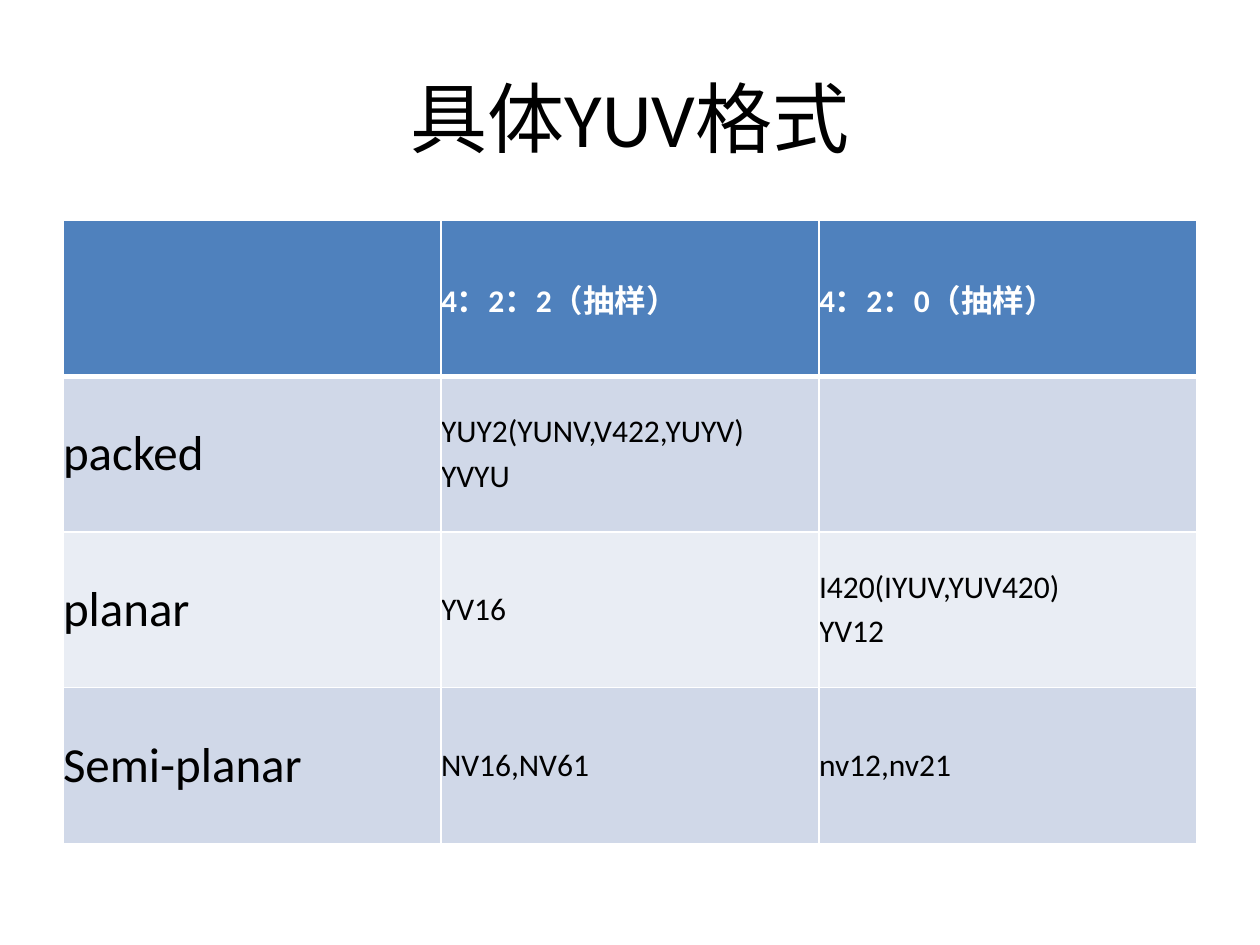
"""Builds a slide with a table of YUV pixel formats."""
from dataclasses import dataclass

from lxml.etree import SubElement
from pptx import Presentation
from pptx.dml.color import RGBColor
from pptx.enum.text import MSO_ANCHOR, PP_ALIGN
from pptx.oxml.ns import qn
from pptx.util import Pt


@dataclass(frozen=True)
class Theme:
    font: str = "Calibri"
    black: str = "000000"
    white: str = "FFFFFF"
    head: str = "4F81BD"
    bands: tuple[str, str] = ("D0D8E8", "E9EDF4")
    title: float = 44
    label: float = 28
    body: float = 18
    gap: float = 3.6
    thin: float = 1
    thick: float = 3


@dataclass(frozen=True)
class Row:
    cells: tuple[str, str, str]
    fill: str
    color: str
    sizes: tuple[float, float, float]
    bold: bool = False
    top: float = 1
    base: float = 1


THEME = Theme()
SIZES = (THEME.label, THEME.body, THEME.body)
BODY = (
    ("packed", "YUY2(YUNV,V422,YUYV)\nYVYU", ""),
    ("planar", "YV16", "I420(IYUV,YUV420)\nYV12"),
    ("Semi-planar", "NV16,NV61", "nv12,nv21"),
)
ROWS = [
    Row(("", "4：2：2（抽样）", "4：2：0（抽样）"), THEME.head, THEME.white,
        (THEME.body,) * 3, True, THEME.thin, THEME.thick)
] + [
    Row(cells, THEME.bands[i % 2], THEME.black, SIZES,
        top=THEME.thin if i else THEME.thick)
    for i, cells in enumerate(BODY)
]


def style(para, size: float, color: str, bold: bool = False) -> None:
    para.font.name = THEME.font
    para.font.size = Pt(size)
    para.font.bold = bold
    para.font.color.rgb = RGBColor.from_string(color)


def border(cell, side: str, width: float) -> None:
    props = cell._tc.get_or_add_tcPr()
    line = SubElement(props, qn(f"a:ln{side}"), w=str(Pt(width)))
    fill = SubElement(line, qn("a:solidFill"))
    SubElement(fill, qn("a:srgbClr"), val=THEME.white)


def draw_cell(cell, text: str, size: float, row: Row) -> None:
    for side, width in zip("LRTB", (THEME.thin, THEME.thin, row.top, row.base)):
        border(cell, side, width)
    cell.fill.solid()
    cell.fill.fore_color.rgb = RGBColor.from_string(row.fill)
    cell.vertical_anchor = MSO_ANCHOR.MIDDLE
    cell.margin_left = cell.margin_right = Pt(0)
    cell.margin_top = cell.margin_bottom = Pt(0)
    cell.text = text
    for i, para in enumerate(cell.text_frame.paragraphs):
        style(para, size, row.color, row.bold)
        if i:
            para.space_before = Pt(THEME.gap)


def draw_table(slide, rows: list[Row]) -> None:
    count, wide = len(rows), len(rows[0].cells)
    frame = slide.shapes.add_table(
        count, wide, Pt(36), Pt(126), Pt(648), Pt(356))
    for r, row in enumerate(rows):
        for c, (text, size) in enumerate(zip(row.cells, row.sizes)):
            draw_cell(frame.table.cell(r, c), text, size, row)


def draw_title(slide, text: str) -> None:
    title = slide.shapes.title
    title.left, title.top = Pt(36), Pt(21.6)
    title.width, title.height = Pt(648), Pt(90)
    title.text_frame.text = text
    title.text_frame.vertical_anchor = MSO_ANCHOR.MIDDLE
    para = title.text_frame.paragraphs[0]
    para.alignment = PP_ALIGN.CENTER
    style(para, THEME.title, THEME.black)


def main() -> None:
    deck = Presentation()
    deck.slide_width, deck.slide_height = Pt(720), Pt(540)
    slide = deck.slides.add_slide(deck.slide_layouts[5])
    draw_title(slide, "具体YUV格式")
    draw_table(slide, ROWS)
    deck.save("out.pptx")


if __name__ == "__main__":
    main()
